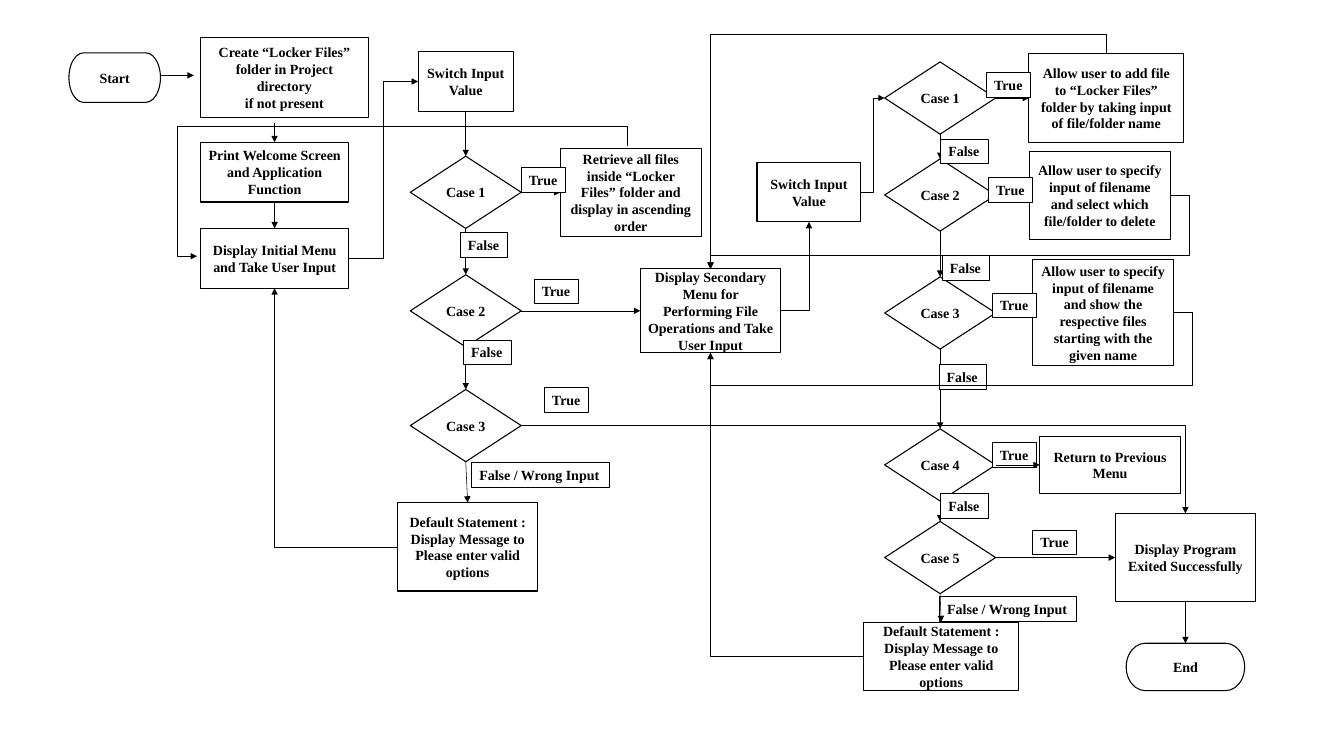
from dataclasses import dataclass

from lxml import etree
from pptx import Presentation
from pptx.dml.color import RGBColor
from pptx.enum.shapes import MSO_CONNECTOR as Line, MSO_SHAPE as Kind
from pptx.enum.text import MSO_ANCHOR as Anchor, MSO_AUTO_SIZE as AutoSize, PP_ALIGN as Align
from pptx.oxml.ns import qn
from pptx.util import Pt


@dataclass(frozen=True)
class Theme:
    font: str = "Times New Roman"
    size: float = 13
    ink: RGBColor = RGBColor(0, 0, 0)
    paper: RGBColor = RGBColor(255, 255, 255)
    node_line: float = 1
    label_line: float = 0.75
    arrow_line: float = 0.5


@dataclass(frozen=True)
class Box:
    x: float
    y: float
    w: float
    h: float

    def inner(self, dx, dy, w, h):
        """Give a box placed relative to this one."""
        return Box(self.x + dx, self.y + dy, w, h)


@dataclass(frozen=True)
class Port:
    """A side of a node, glued unless it is nudged away by dx, dy."""
    node: object
    side: str
    dx: float = 0
    dy: float = 0

    def point(self):
        node = self.node
        across = {"left": 0, "right": 1}.get(self.side, 0.5)
        down = {"top": 0, "bottom": 1}.get(self.side, 0.5)
        return (int(node.left + across * node.width + Pt(self.dx)),
                int(node.top + down * node.height + Pt(self.dy)))


THEME = Theme()
SITES = ("top", "left", "bottom", "right")
CASE_W, CASE_H = 103, 67
STEP_W, STEP_H = 130.5, 82
MENU_H = 55.5
LABEL_H = 23
LABEL_WIDTHS = {"True": 41, "False": 44, "False / Wrong Input": 127.5}
WRONG = "False / Wrong Input"
SWITCH = "Switch Input\nValue"
DEFAULT = "Default Statement : Display Message to Please enter valid options"


def outline(shape, width):
    shape.fill.solid()
    shape.fill.fore_color.rgb = THEME.paper
    shape.line.color.rgb = THEME.ink
    shape.line.width = Pt(width)


def write(frame, text, align):
    frame.text = text
    for para in frame.paragraphs:
        para.alignment = align
        para.font.name = THEME.font
        para.font.size = Pt(THEME.size)
        para.font.bold = True
        para.font.color.rgb = THEME.ink


def add_node(page, box, text, kind=Kind.FLOWCHART_PROCESS):
    node = page.shapes.add_shape(kind, Pt(box.x), Pt(box.y), Pt(box.w), Pt(box.h))
    node.shadow.inherit = False
    outline(node, THEME.node_line)
    node.text_frame.word_wrap = True
    node.text_frame.vertical_anchor = Anchor.MIDDLE
    write(node.text_frame, text, Align.CENTER)
    return node


def add_cases(page, box, tops):
    return [add_node(page, box.inner(0, top, CASE_W, CASE_H), f"Case {number}", Kind.FLOWCHART_DECISION)
            for number, top in enumerate(tops, 1)]


def add_labels(page, box, labels):
    for text, dx, dy in labels:
        spot = box.inner(dx, dy, LABEL_WIDTHS[text], LABEL_H)
        label = page.shapes.add_textbox(Pt(spot.x), Pt(spot.y), Pt(spot.w), Pt(spot.h))
        outline(label, THEME.label_line)
        label.text_frame.word_wrap = False
        label.text_frame.auto_size = AutoSize.SHAPE_TO_FIT_TEXT
        write(label.text_frame, text, Align.LEFT)


def link(page, start, end, turns=None):
    """Draw an arrow; turns are the bends' offsets from the start, on alternating axes."""
    (x1, y1), (x2, y2) = start.point(), end.point()
    style = Line.STRAIGHT if turns is None else Line.ELBOW
    arrow = page.shapes.add_connector(style, x1, y1, x2, y2)
    for port, glue in ((start, arrow.begin_connect), (end, arrow.end_connect)):
        if not (port.dx or port.dy):
            glue(port.node, SITES.index(port.side))
    arrow.line.color.rgb = THEME.ink
    arrow.line.width = Pt(THEME.arrow_line)
    properties = arrow.element.spPr
    etree.SubElement(properties.find(qn("a:ln")), qn("a:tailEnd"), type="triangle")
    etree.SubElement(properties, qn("a:effectLst"))
    if turns is not None:
        bend(arrow, x2 - x1, y2 - y1, turns, start.side in ("top", "bottom"))


def bend(arrow, dx, dy, turns, upright):
    """Shape an elbow; an upright one leaves its start vertically."""
    geometry = arrow.element.spPr.find(qn("a:prstGeom"))
    geometry.set("prst", f"bentConnector{len(turns) + 2}")
    guides = geometry.find(qn("a:avLst"))
    spans = (dy, dx) if upright else (dx, dy)
    for index, turn in enumerate(turns):
        ratio = round(Pt(turn) / spans[index % 2] * 100000)
        etree.SubElement(guides, qn("a:gd"), name=f"adj{index + 1}", fmla=f"val {ratio}")
    if upright:
        middle_x, middle_y = arrow.left + arrow.width // 2, arrow.top + arrow.height // 2
        arrow.width, arrow.height = abs(dy), abs(dx)
        arrow.left, arrow.top = middle_x - abs(dy) // 2, middle_y - abs(dx) // 2
        frame = arrow.element.spPr.find(qn("a:xfrm"))
        frame.set("rot", "16200000")
        frame.set("flipH", str(int(dy > 0)))
        frame.set("flipV", str(int(dx < 0)))


def chain(page, nodes):
    for upper, lower in zip(nodes, nodes[1:]):
        link(page, Port(upper, "bottom"), Port(lower, "top"))


def startup(page, box):
    """Draw the opening steps and return the initial menu."""
    start = add_node(page, box.inner(0, 14, 85, 46), "Start", Kind.FLOWCHART_TERMINATOR)
    create = add_node(page, box.inner(122, 0, 156, 74),
                      "Create “Locker Files” folder in Project directory\nif not present", Kind.RECTANGLE)
    welcome = add_node(page, box.inner(122, 97, 138, MENU_H),
                       "Print Welcome Screen and Application Function", Kind.RECTANGLE)
    menu = add_node(page, box.inner(122, 177, 138, MENU_H),
                    "Display Initial Menu and Take User Input", Kind.RECTANGLE)
    link(page, Port(start, "right", 0, -2), Port(create, "left", -6, -2))
    link(page, Port(create, "bottom", -9, 5.5), Port(welcome, "top"))
    chain(page, [welcome, menu])
    return menu


def main_switch(page, box, menu):
    """Draw the first switch and return its cases."""
    switch = add_node(page, box.inner(19.25, 0, 88.5, MENU_H), SWITCH, Kind.RECTANGLE)
    cases = add_cases(page, box.inner(12, 0, CASE_W, box.h), (97, 207, 313.5))
    listing = add_node(page, box.inner(151.5, 89.5, STEP_W, STEP_H),
                       "Retrieve all files inside “Locker Files” folder and display in ascending order")
    default = add_node(page, box.inner(0, 418.5, STEP_W, STEP_H), DEFAULT)
    chain(page, [switch, *cases, default])
    link(page, Port(cases[0], "right"), Port(listing, "left"))
    add_labels(page, box, [("True", 115, 107.5), ("True", 127, 211), ("True", 136.5, 311.5),
                           ("False", 58.5, 168), ("False", 61.5, 267.5), (WRONG, 69, 381)])
    link(page, Port(menu, "right"), Port(switch, "left"), (32,))
    link(page, Port(default, "left"), Port(menu, "bottom"), ())
    link(page, Port(listing, "top", -3, -2), Port(menu, "left", -3, -2), (-18, -418))
    return cases


def file_switch(page, box):
    """Draw the secondary menu with its switch; return the menu and the last case."""
    menu = add_node(page, box.inner(0, 199.5, STEP_W, 78),
                    "Display Secondary Menu for Performing File Operations and Take User Input")
    switch = add_node(page, box.inner(108.5, 100.5, 96.5, MENU_H), SWITCH, Kind.RECTANGLE)
    cases = add_cases(page, box.inner(227, 0, CASE_W, box.h), (7.5, 97.5, 207, 348, 434))
    add = add_node(page, box.inner(361, 0, 143.5, STEP_H),
                   "Allow user to add file to “Locker Files” folder by taking input of file/folder name")
    delete = add_node(page, box.inner(361.5, 90.5, STEP_W, STEP_H),
                      "Allow user to specify input of filename and select which file/folder to delete")
    show = add_node(page, box.inner(364.5, 191, STEP_W, 98.5),
                    "Allow user to specify input of filename and show the respective files "
                    "starting with the given name")
    back = add_node(page, box.inner(371, 355, STEP_W, 53), "Return to Previous Menu")
    default = add_node(page, box.inner(207.5, 527.5, 144, 63.5), DEFAULT)
    chain(page, cases)
    link(page, Port(cases[0], "right"), Port(add, "left"))
    add_labels(page, box, [("True", 321.5, 17), ("True", 323.5, 115), ("True", 327, 222),
                           ("True", 327, 361), ("True", 364.5, 442),
                           ("False", 279, 79), ("False", 280.5, 187.5), ("False", 277.5, 288.5),
                           ("False", 279, 408), (WRONG, 278, 503.5)])
    link(page, Port(cases[3], "right"), Port(back, "left"))
    chain(page, [cases[4], default])
    link(page, Port(switch, "right"), Port(cases[0], "left"), (11,))
    link(page, Port(menu, "right"), Port(switch, "bottom"), ())
    link(page, Port(default, "left"), Port(menu, "bottom"), ())
    link(page, Port(show, "right"), Port(menu, "bottom"), (18, 67))
    link(page, Port(delete, "right"), Port(menu, "top"), (18, 55))
    link(page, Port(add, "top"), Port(menu, "top"), (-18,))
    return menu, cases[-1]


def closing(page, box):
    """Draw the exit steps and return the exit message."""
    message = add_node(page, box.inner(0, 0, STEP_W, STEP_H), "Display Program Exited Successfully")
    end = add_node(page, box.inner(10.25, 120.5, 110, 44), "End", Kind.FLOWCHART_TERMINATOR)
    chain(page, [message, end])
    return message


def main():
    deck = Presentation()
    deck.slide_width, deck.slide_height = Pt(1248), Pt(684)
    page = deck.slides.add_slide(deck.slide_layouts[6])
    first_menu = startup(page, Box(64, 35, 278, 233))
    main_cases = main_switch(page, Box(369, 48, 282, 501), first_menu)
    second_menu, last_case = file_switch(page, Box(594.5, 50, 505, 591))
    message = closing(page, Box(1035.5, 476.5, 130.5, 165))
    link(page, Port(main_cases[1], "right"), Port(second_menu, "left"))
    link(page, Port(main_cases[2], "right"), Port(message, "top"), ())
    link(page, Port(last_case, "right"), Port(message, "left"))
    deck.save("out.pptx")


if __name__ == "__main__":
    main()
